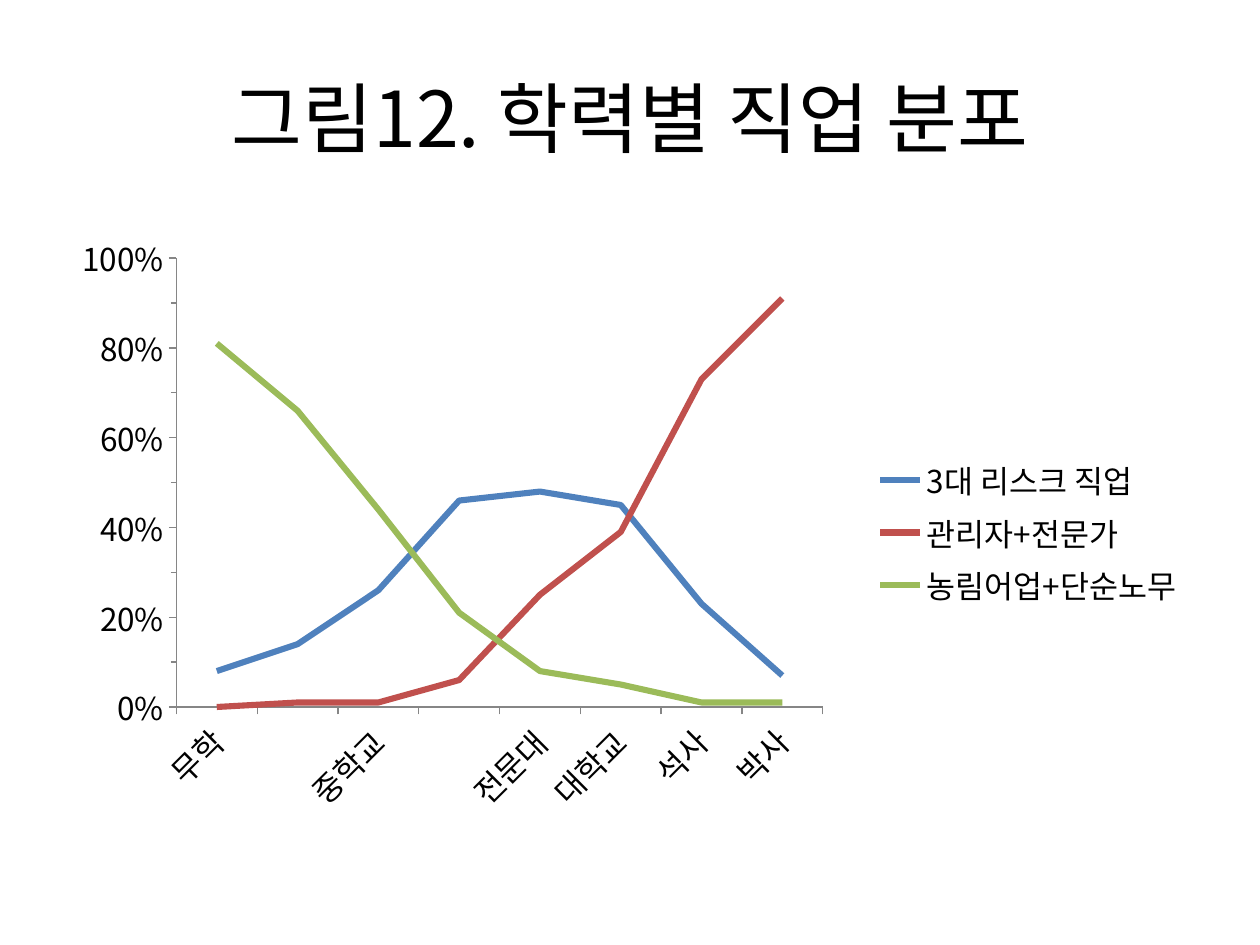
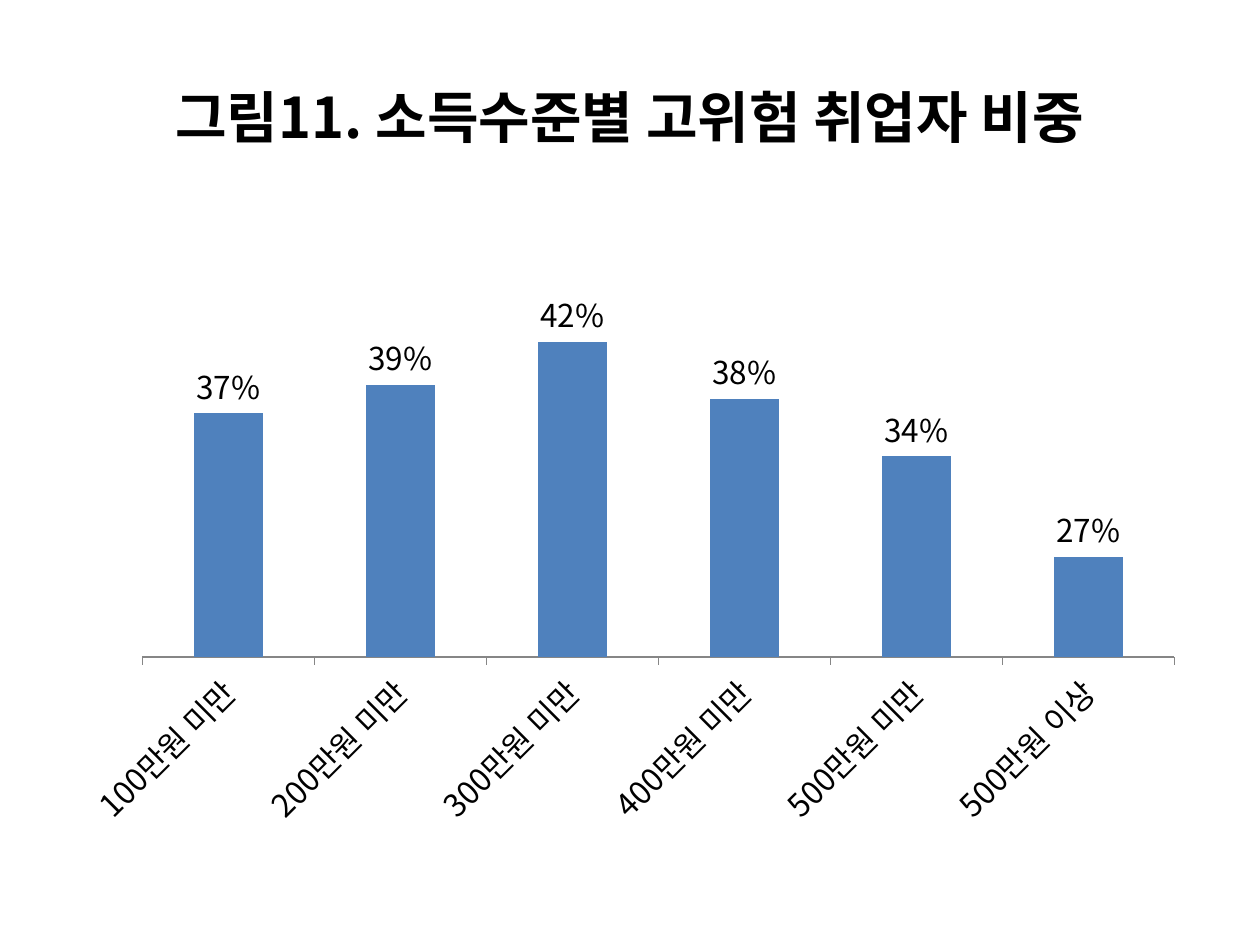
import lxml.etree
import pptx
import pptx.chart.data
import pptx.dml.color
import pptx.enum.chart
import pptx.enum.text
import pptx.oxml
import pptx.oxml.ns
import pptx.util
from pptx.util import Cm

FONT = "Noto Sans CJK KR"
COLORS = {
    "text": "000000",
    "axis": "868686",
    "blue": "4F81BD",
    "red": "C0504D",
    "green": "9BBB59",
}
TITLE_BOX = (Cm(1.27), Cm(0.76), Cm(22.86), Cm(3.18))
CHART_BOX = (Cm(1.27), Cm(4.45), Cm(22.86), Cm(12.57))

EDUCATION = ["무학", "초등학교", "중학교", "고등학교", "전문대", "대학교", "석사", "박사"]
JOB_SHARES = [
    ("3대 리스크 직업", "blue", [0.08, 0.14, 0.26, 0.46, 0.48, 0.45, 0.23, 0.07]),
    ("관리자+전문가", "red", [0, 0.01, 0.01, 0.06, 0.25, 0.39, 0.73, 0.91]),
    ("농림어업+단순노무", "green", [0.81, 0.66, 0.44, 0.21, 0.08, 0.05, 0.01, 0.01]),
]
INCOME = [f"{limit}만원 미만" for limit in range(100, 600, 100)] + ["500만원 이상"]
RISK_SHARES = [("Series 1", "blue", [0.37, 0.39, 0.42, 0.38, 0.34, 0.27])]


def rgb(name):
    """Return the named colour."""
    return pptx.dml.color.RGBColor.from_string(COLORS[name])


def style_font(font, size, bold=False):
    """Apply the shared typeface and colour."""
    font.name = FONT
    font.size = pptx.util.Pt(size)
    font.bold = bold
    font.color.rgb = rgb("text")


def set_east_asian(properties):
    """Use the shared typeface for Korean text as well."""
    latin = properties.find(pptx.oxml.ns.qn("a:latin"))
    if latin is not None:
        east_asian = lxml.etree.Element(pptx.oxml.ns.qn("a:ea"), typeface=FONT)
        latin.addnext(east_asian)


def add_title(page, box, text, size, bold=False):
    """Place and format the title placeholder."""
    title = page.shapes.title
    title.left, title.top, title.width, title.height = box
    frame = title.text_frame
    frame.word_wrap = True
    frame.vertical_anchor = pptx.enum.text.MSO_ANCHOR.MIDDLE
    para = frame.paragraphs[0]
    para.alignment = pptx.enum.text.PP_ALIGN.CENTER
    span = para.add_run()
    span.text = text
    style_font(span.font, size, bold)
    set_east_asian(span.font._element)


def set_plot_area(chart, left, top, width, height):
    """Fix the inner plot area as fractions of the chart."""
    plot_area = chart._chartSpace.chart.plotArea
    for old in plot_area.findall(pptx.oxml.ns.qn("c:layout")):
        plot_area.remove(old)
    plot_area.insert(0, pptx.oxml.parse_xml(
        f'<c:layout {pptx.oxml.ns.nsdecls("c")}><c:manualLayout>'
        '<c:layoutTarget val="inner"/><c:xMode val="edge"/><c:yMode val="edge"/>'
        f'<c:x val="{left}"/><c:y val="{top}"/><c:w val="{width}"/><c:h val="{height}"/>'
        '</c:manualLayout></c:layout>'))


def style_axis(axis):
    """Give an axis a thin grey line, outer ticks and the shared font."""
    axis.has_major_gridlines = False
    axis.major_tick_mark = pptx.enum.chart.XL_TICK_MARK.OUTSIDE
    axis.format.line.color.rgb = rgb("axis")
    axis.format.line.width = pptx.util.Pt(0.75)
    style_font(axis.tick_labels.font, 18)


def add_chart(page, box, kind, categories, series, scale, plot_box):
    """Add a chart with the shared axes, font and percent scale."""
    data = pptx.chart.data.CategoryChartData(number_format="0%")
    data.categories = categories
    for name, _, values in series:
        data.add_series(name, values)
    chart = page.shapes.add_chart(kind, *box, data).chart
    chart.has_title = False
    chart.has_legend = False
    style_font(chart.font, 18)
    chart.plots[0].vary_by_categories = False
    style_axis(chart.category_axis)
    for body in chart.category_axis._element.xpath("c:txPr/a:bodyPr"):
        body.set("rot", "-2700000")
    axis = chart.value_axis
    style_axis(axis)
    axis.minimum_scale, axis.maximum_scale, axis.major_unit = scale
    axis.tick_labels.number_format = "0%"
    axis.tick_labels.number_format_is_linked = False
    set_plot_area(chart, *plot_box)
    return chart


def finish_fonts(chart):
    """Complete the Korean typeface throughout a chart."""
    for properties in chart._chartSpace.xpath(".//a:defRPr"):
        set_east_asian(properties)


def fill_education_page(page):
    """Build the line chart of jobs by education."""
    add_title(page, TITLE_BOX, "그림12. 학력별 직업 분포", 44)
    chart = add_chart(page, CHART_BOX, pptx.enum.chart.XL_CHART_TYPE.LINE,
                      EDUCATION, JOB_SHARES, (0, 1, 0.2), (0.1, 0.06, 0.57, 0.72))
    chart.value_axis.minor_unit = 0.1
    chart.value_axis.minor_tick_mark = pptx.enum.chart.XL_TICK_MARK.OUTSIDE
    for line, (_, color, _) in zip(chart.plots[0].series, JOB_SHARES):
        line.smooth = False
        line.marker.style = pptx.enum.chart.XL_MARKER_STYLE.NONE
        line.format.line.color.rgb = rgb(color)
        line.format.line.width = pptx.util.Pt(3.5)
    chart.has_legend = True
    chart.legend.position = pptx.enum.chart.XL_LEGEND_POSITION.RIGHT
    chart.legend.include_in_layout = False
    style_font(chart.legend.font, 18)
    finish_fonts(chart)


def fill_income_page(page):
    """Build the column chart of risk by income."""
    add_title(page, TITLE_BOX, "그림11. 소득수준별 고위험 취업자 비중", 32, True)
    chart = add_chart(page, CHART_BOX, pptx.enum.chart.XL_CHART_TYPE.COLUMN_CLUSTERED,
                      INCOME, RISK_SHARES, (0.2, 0.5, 0.1), (0.07, 0.01, 0.91, 0.69))
    chart.value_axis.visible = False
    plot = chart.plots[0]
    plot.gap_width = 150
    for column, (_, color, _) in zip(plot.series, RISK_SHARES):
        column.format.fill.solid()
        column.format.fill.fore_color.rgb = rgb(color)
    plot.has_data_labels = True
    labels = plot.data_labels
    labels.show_value = True
    labels.number_format = "0%"
    labels.number_format_is_linked = False
    labels.position = pptx.enum.chart.XL_LABEL_POSITION.OUTSIDE_END
    style_font(labels.font, 18)
    finish_fonts(chart)


def main():
    """Build and save the deck."""
    deck = pptx.Presentation()
    deck.slide_width, deck.slide_height = Cm(25.4), Cm(19.05)
    for fill_page in (fill_education_page, fill_income_page):
        fill_page(deck.slides.add_slide(deck.slide_layouts[5]))
    deck.save("out.pptx")


if __name__ == "__main__":
    main()
